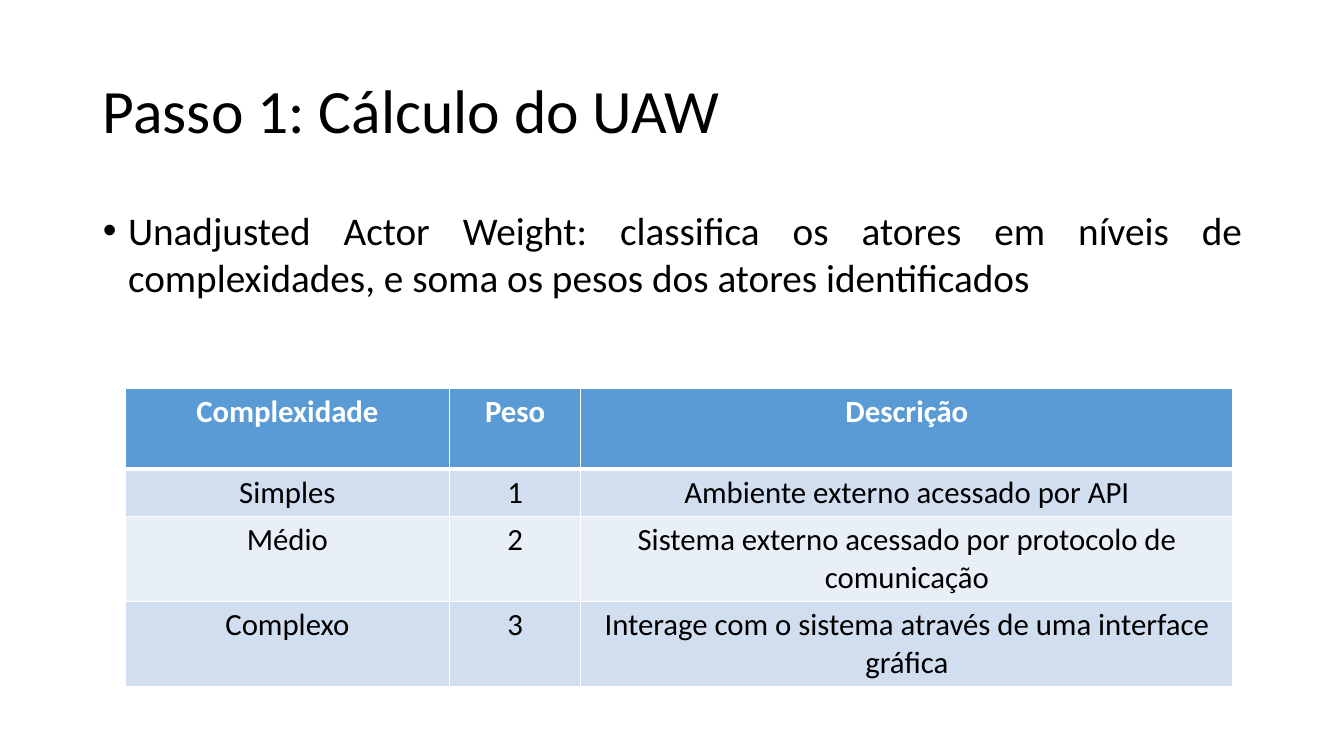
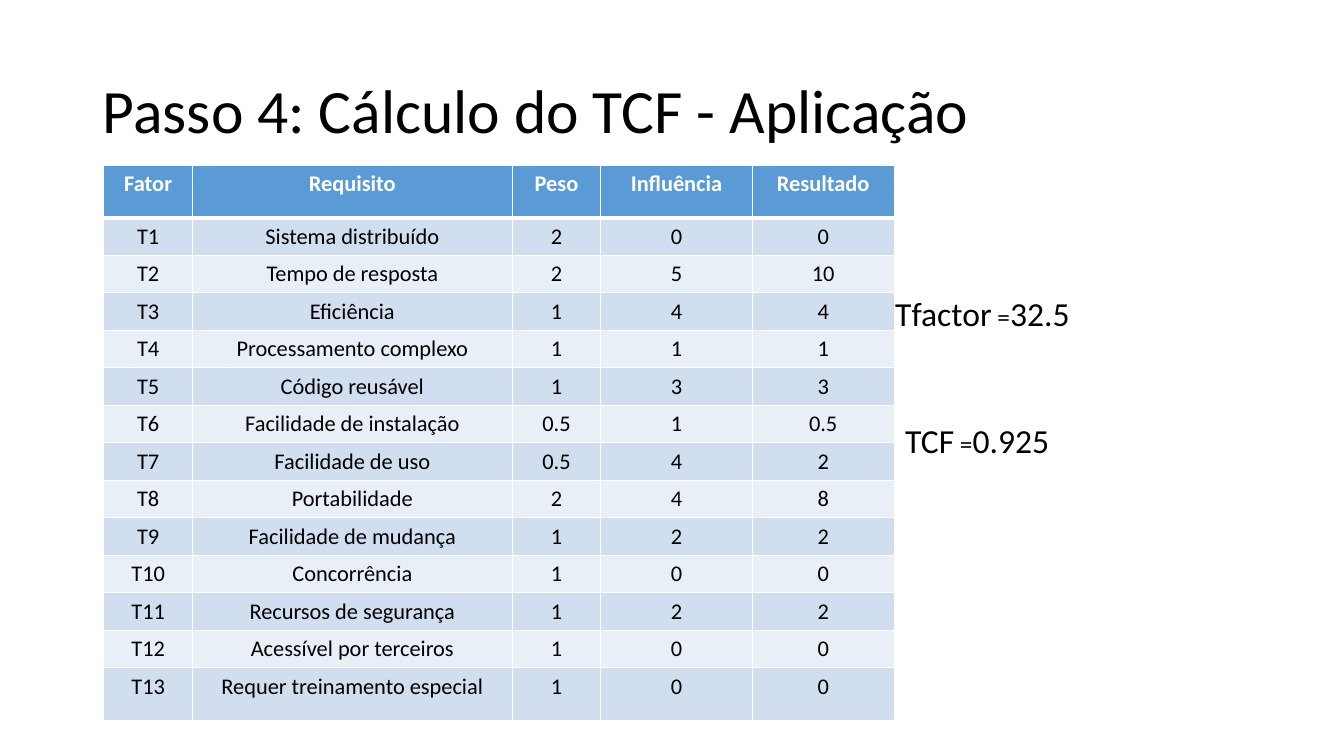
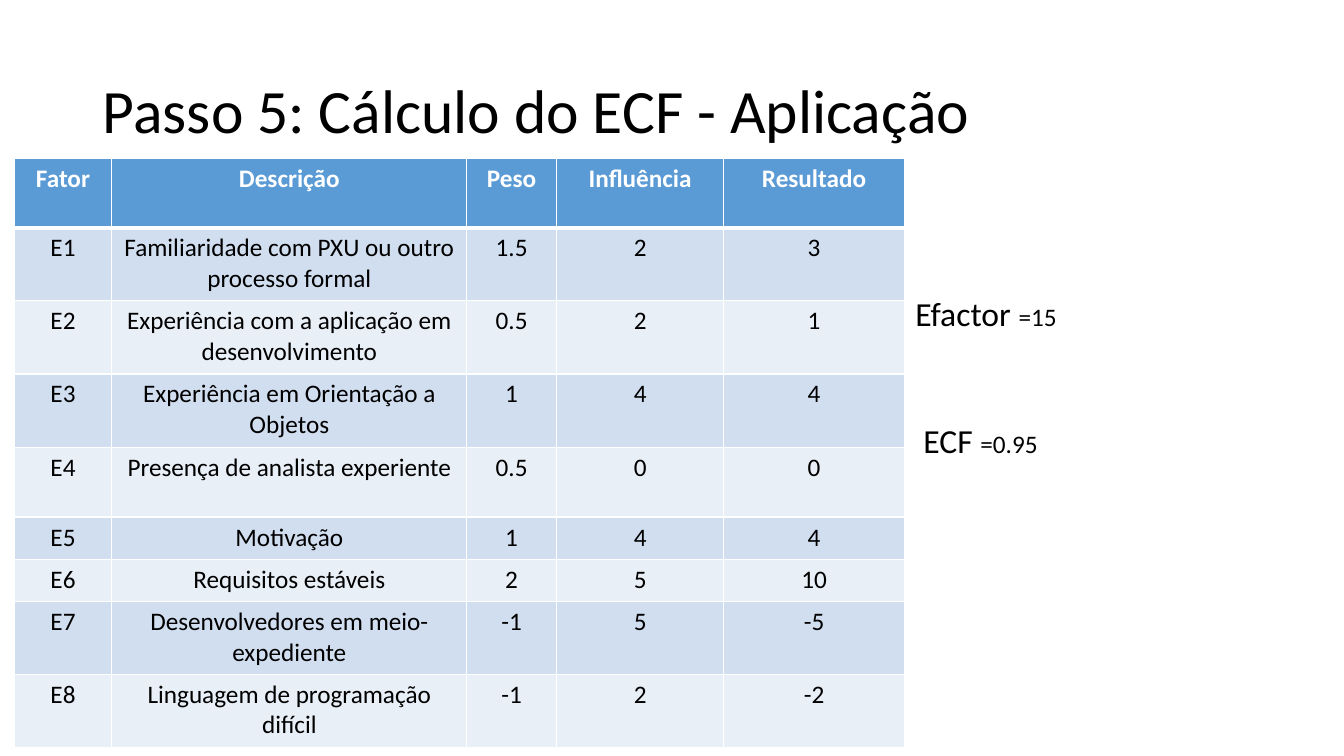
from dataclasses import dataclass

from lxml import etree
from pptx import Presentation
from pptx import util as u
from pptx.dml import color
from pptx.enum import text
from pptx.oxml import ns


@dataclass(frozen=True)
class Theme:
    font: str = "Calibri"
    ink: str = "000000"
    white: str = "FFFFFF"
    header: str = "5B9BD5"
    bands: tuple = ("D1DEEF", "E9EFF7")
    title_size: int = 44
    body_size: int = 28
    result_size: int = 24
    note_size: int = 18
    thin: float = 0.96
    thick: float = 3


THEME = Theme()
PX = 9144  # EMU in one px, 100 px to the inch
SLIDE_SIZE = (1333, 750)
TITLE_BOX = (92, 40, 1150, 145)
TITLE_AND_CONTENT, TITLE_ONLY = 1, 5
FACTOR_HEADINGS = ("Peso", "Influência", "Resultado")

ACTORS = [
    ("Complexidade", "Peso", "Descrição"),
    ("Simples", "1", "Ambiente externo acessado por API"),
    ("Médio", "2", "Sistema externo acessado por protocolo de comunicação"),
    ("Complexo", "3", "Interage com o sistema através de uma interface gráfica"),
]
# Factors: description, weight, influence
TECHNICAL_FACTORS = [
    ("Sistema distribuído", 2, 0),
    ("Tempo de resposta", 2, 5),
    ("Eficiência", 1, 4),
    ("Processamento complexo", 1, 1),
    ("Código reusável", 1, 3),
    ("Facilidade de instalação", 0.5, 1),
    ("Facilidade de uso", 0.5, 4),
    ("Portabilidade", 2, 4),
    ("Facilidade de mudança", 1, 2),
    ("Concorrência", 1, 0),
    ("Recursos de segurança", 1, 2),
    ("Acessível por terceiros", 1, 0),
    ("Requer treinamento especial", 1, 0),
]
ENVIRONMENT_FACTORS = [
    ("Familiaridade com PXU ou outro processo formal", 1.5, 2),
    ("Experiência com a aplicação em desenvolvimento", 0.5, 2),
    ("Experiência em Orientação a Objetos", 1, 4),
    ("Presença de analista experiente", 0.5, 0),
    ("Motivação", 1, 4),
    ("Requisitos estáveis", 2, 5),
    ("Desenvolvedores em meio-expediente", -1, 5),
    ("Linguagem de programação difícil", -1, 2),
]


def px(length):
    return u.Emu(length * PX)


def add_run(paragraph, words, size, ink=THEME.ink, bold=False):
    run = paragraph.add_run()
    run.text = words
    run.font.name = THEME.font
    run.font.size = u.Pt(size)
    run.font.bold = bold
    run.font.color.rgb = color.RGBColor.from_string(ink)


def place(shape, box):
    shape.left, shape.top, shape.width, shape.height = map(px, box)
    frame = shape.text_frame
    frame.word_wrap = True
    frame.auto_size = text.MSO_AUTO_SIZE.NONE
    frame.margin_left = frame.margin_right = px(10)
    frame.margin_top = frame.margin_bottom = px(5)
    return frame


# Title and body placeholders
def add_titled_slide(presentation, layout, title):
    slide = presentation.slides.add_slide(presentation.slide_layouts[layout])
    frame = place(slide.shapes.title, TITLE_BOX)
    frame.vertical_anchor = text.MSO_ANCHOR.MIDDLE
    paragraph = frame.paragraphs[0]
    paragraph.alignment = text.PP_ALIGN.LEFT
    paragraph.line_spacing = 0.9
    add_run(paragraph, title, THEME.title_size)
    return slide


def fill_body(slide, box, words):
    frame = place(slide.placeholders[1], box)
    frame.vertical_anchor = text.MSO_ANCHOR.TOP
    paragraph = frame.paragraphs[0]
    paragraph.alignment = text.PP_ALIGN.JUSTIFY
    paragraph.space_before = u.Pt(0)
    properties = paragraph._p.get_or_add_pPr()
    properties.set("marL", str(px(25)))
    properties.set("indent", str(-px(25)))
    etree.SubElement(properties, ns.qn("a:buFont")).set("typeface", "Arial")
    etree.SubElement(properties, ns.qn("a:buChar")).set("char", "•")
    add_run(paragraph, words, THEME.body_size)


# Tables
def add_borders(cell, top, bottom):
    properties = cell._tc.get_or_add_tcPr()
    widths = {"L": THEME.thin, "R": THEME.thin, "T": top, "B": bottom}
    for side, width in widths.items():
        line = etree.SubElement(properties, ns.qn(f"a:ln{side}"), w=str(u.Pt(width)))
        fill = etree.SubElement(line, ns.qn("a:solidFill"))
        etree.SubElement(fill, ns.qn("a:srgbClr"), val=THEME.white)


def format_cell(cell, words, row, size, side_margin):
    is_header = row == 0
    add_borders(cell, THEME.thick if row == 1 else THEME.thin,
                THEME.thick if is_header else THEME.thin)
    cell.fill.solid()
    fill = THEME.header if is_header else THEME.bands[(row - 1) % 2]
    cell.fill.fore_color.rgb = color.RGBColor.from_string(fill)
    cell.margin_left = cell.margin_right = px(side_margin)
    cell.margin_top = cell.margin_bottom = px(5)
    paragraph = cell.text_frame.paragraphs[0]
    paragraph.alignment = text.PP_ALIGN.CENTER
    add_run(paragraph, words, size, THEME.white if is_header else THEME.ink, is_header)


def add_banded_table(slide, corner, widths, heights, rows, size, side_margin=10):
    left, top = corner
    table = slide.shapes.add_table(
        len(rows), len(widths), px(left), px(top),
        px(sum(widths)), px(sum(heights))).table
    for column, width in zip(table.columns, widths):
        column.width = px(width)
    for index, (row, height, words) in enumerate(zip(table.rows, heights, rows)):
        row.height = px(height)
        for cell, entry in zip(row.cells, words):
            format_cell(cell, entry, index, size, side_margin)


def factor_rows(prefix, heading, factors):
    rows = [("Fator", heading, *FACTOR_HEADINGS)]
    for number, (name, weight, influence) in enumerate(factors, 1):
        values = (weight, influence, weight * influence)
        rows.append((f"{prefix}{number}", name, *(f"{value:g}" for value in values)))
    return rows


# Results beside a factor table
def add_result(slide, box, runs):
    frame = place(slide.shapes.add_textbox(0, 0, 0, 0), box)
    for words, size in runs:
        add_run(frame.paragraphs[0], words, size)


# Slides
def build_actor_slide(presentation):
    slide = add_titled_slide(presentation, TITLE_AND_CONTENT, "Passo 1: Cálculo do UAW")
    fill_body(slide, (92, 200, 1150, 112),
              "Unadjusted Actor Weight: classifica os atores em níveis de "
              "complexidades, e soma os pesos dos atores identificados")
    add_banded_table(slide, (124, 385), (322, 130, 647), (80, 47, 84, 84),
                     ACTORS, size=22, side_margin=12)


def build_factor_slide(presentation, title, table, results):
    slide = add_titled_slide(presentation, TITLE_ONLY, title)
    add_banded_table(slide, **table)
    for box, runs in results:
        add_result(slide, box, runs)


def main():
    presentation = Presentation()
    presentation.slide_width, presentation.slide_height = map(px, SLIDE_SIZE)
    large, small = THEME.result_size, THEME.note_size

    build_actor_slide(presentation)
    build_factor_slide(
        presentation, "Passo 4: Cálculo do TCF - Aplicação",
        dict(corner=(103, 164), widths=(88, 317, 88, 150, 141),
             heights=[52] + [37] * 12 + [52], size=16,
             rows=factor_rows("T", "Requisito", TECHNICAL_FACTORS)),
        [((878, 286, 249, 50), [("Tfactor", large), (" =", small), ("32.5", large)]),
         ((888, 412, 213, 50), [("TCF", large), (" =", small), ("0.925", large)])])
    build_factor_slide(
        presentation, "Passo 5: Cálculo do ECF - Aplicação",
        dict(corner=(14, 157), widths=(97, 352, 89, 166, 179),
             heights=[69, 72, 73, 73, 69, 42, 42, 72, 73], size=18,
             rows=factor_rows("E", "Descrição", ENVIRONMENT_FACTORS)),
        [((898, 286, 210, 50), [("Efactor ", large), ("=15", small)]),
         ((906, 412, 178, 50), [("ECF ", large), ("=0.95", small)])])
    presentation.save("out.pptx")


if __name__ == "__main__":
    main()
